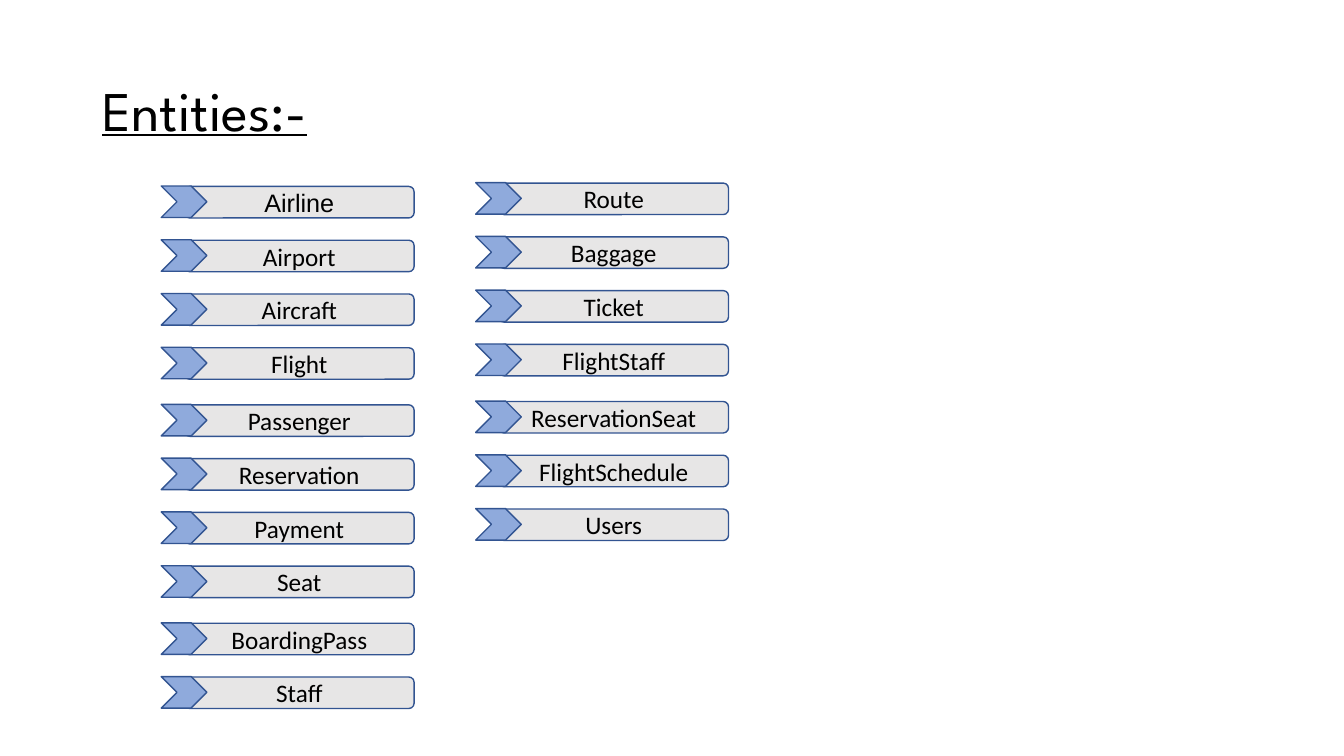
from dataclasses import dataclass

from pptx import Presentation
from pptx.dml.color import RGBColor
from pptx.enum.shapes import MSO_SHAPE
from pptx.enum.text import MSO_ANCHOR, PP_ALIGN
from pptx.util import Pt


@dataclass(frozen=True)
class Theme:
    ink: RGBColor = RGBColor(0x00, 0x00, 0x00)
    bar: RGBColor = RGBColor(0xE7, 0xE6, 0xE6)
    chevron: RGBColor = RGBColor(0x8F, 0xAA, 0xDC)
    outline: RGBColor = RGBColor(0x32, 0x54, 0x91)
    title_font: str = "League Spartan"
    label_font: str = "Calibri"
    first_label_font: str = "Arial"
    title_size: int = 40
    label_size: int = 18


THEME = Theme()

ROW_PITCH = 38.4
ROWS_PER_GROUP = 4
GROUP_GAP = 2.4
ROW_HEIGHT = 22.5
BAR_WIDTH = 164
CHEVRON_WIDTH = 32.6
BAR_OFFSET = 16.6

LEFT_ENTITIES = [
    "Airline", "Airport", "Aircraft", "Flight", "Passenger",
    "Reservation", "Payment", "Seat", "BoardingPass", "Staff",
]
RIGHT_ENTITIES = [
    "Route", "Baggage", "Ticket", "FlightStaff",
    "ReservationSeat", "FlightSchedule", "Users",
]


def style_run(run, font_name, size):
    run.font.name = font_name
    run.font.size = Pt(size)
    run.font.color.rgb = THEME.ink


def add_title(slide, text):
    title = slide.shapes.add_textbox(Pt(66), Pt(28.8), Pt(828), Pt(104.4))
    frame = title.text_frame
    frame.word_wrap = True
    frame.vertical_anchor = MSO_ANCHOR.MIDDLE
    frame.text = text
    paragraph = frame.paragraphs[0]
    paragraph.line_spacing = 0.9
    run = paragraph.runs[0]
    style_run(run, THEME.title_font, THEME.title_size)
    run.font.underline = True


def add_outlined_shape(slide, kind, left, top, width, fill):
    shape = slide.shapes.add_shape(kind, Pt(left), Pt(top), Pt(width), Pt(ROW_HEIGHT))
    shape.shadow.inherit = False
    shape.fill.solid()
    shape.fill.fore_color.rgb = fill
    shape.line.color.rgb = THEME.outline
    shape.line.width = Pt(1)
    return shape


def add_entity_bar(slide, left, top, label, font_name):
    bar = add_outlined_shape(
        slide, MSO_SHAPE.ROUNDED_RECTANGLE, left, top, BAR_WIDTH, THEME.bar)
    frame = bar.text_frame
    frame.vertical_anchor = MSO_ANCHOR.MIDDLE
    frame.text = label
    paragraph = frame.paragraphs[0]
    paragraph.alignment = PP_ALIGN.CENTER
    style_run(paragraph.runs[0], font_name, THEME.label_size)


def add_entity_column(slide, left, top, entities, first_font=THEME.label_font):
    for row, label in enumerate(entities):
        row_top = top + row * ROW_PITCH + row // ROWS_PER_GROUP * GROUP_GAP
        font_name = THEME.label_font if row else first_font
        add_entity_bar(slide, left + BAR_OFFSET, row_top, label, font_name)
        add_outlined_shape(
            slide, MSO_SHAPE.CHEVRON, left, row_top - 0.3, CHEVRON_WIDTH, THEME.chevron)


def main():
    presentation = Presentation()
    presentation.slide_width = Pt(960)
    presentation.slide_height = Pt(540)
    slide = presentation.slides.add_slide(presentation.slide_layouts[6])
    add_title(slide, "Entities:-")
    add_entity_column(slide, 115.2, 133.2, LEFT_ENTITIES, THEME.first_label_font)
    add_entity_column(slide, 339.8, 130.8, RIGHT_ENTITIES)
    presentation.save("out.pptx")


if __name__ == "__main__":
    main()
